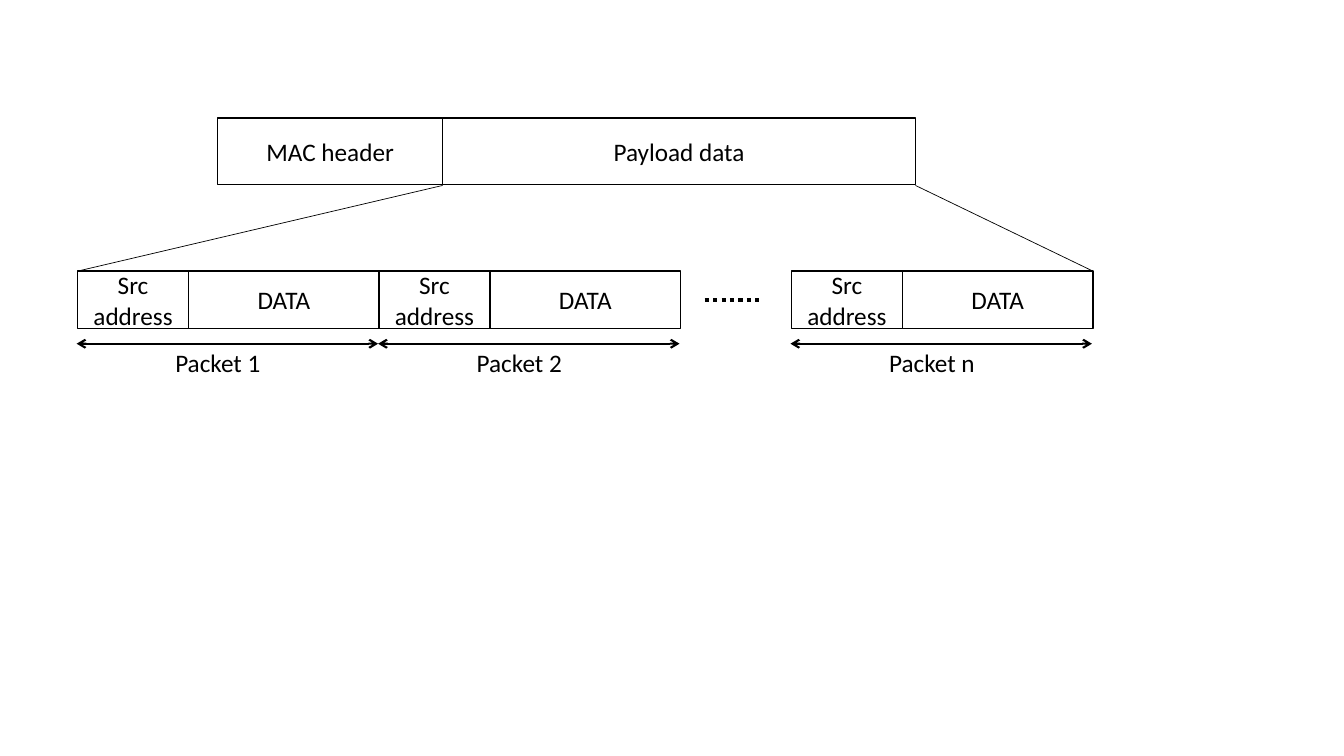
from lxml import etree
from pptx import Presentation
from pptx.dml.color import RGBColor
from pptx.enum import dml, shapes, text
from pptx.oxml import ns
from pptx.util import Inches, Pt

BLACK = RGBColor(0, 0, 0)
WHITE = RGBColor(255, 255, 255)

FRAME_TOP, FRAME_HEIGHT = 1.17, 0.66
HEADER_LEFT, PAYLOAD_LEFT, PAYLOAD_RIGHT = 2.16, 4.39, 9.08
PACKET_TOP, PACKET_HEIGHT = 2.69, 0.57
ADDRESS_WIDTH, DATA_WIDTH = 1.1, 1.89
PACKET_WIDTH = ADDRESS_WIDTH + DATA_WIDTH
ARROW_Y = 3.41
FIRST_LEFT, LAST_LEFT = 0.77, 7.85


class FrameDiagram:
    font_name = "Calibri"
    font_size = Pt(18)

    def __init__(self, slide):
        self.slide = slide

    def set_words(self, shape, words, alignment=None):
        paragraph = shape.text_frame.paragraphs[0]
        paragraph.text = words
        paragraph.alignment = alignment
        paragraph.font.name = self.font_name
        paragraph.font.size = self.font_size
        paragraph.font.color.rgb = BLACK

    def field(self, words, left, top, width, height):
        shape = self.slide.shapes.add_shape(
            shapes.MSO_SHAPE.RECTANGLE,
            Inches(left), Inches(top), Inches(width), Inches(height))
        shape.shadow.inherit = False
        shape.fill.solid()
        shape.fill.fore_color.rgb = WHITE
        shape.line.color.rgb = BLACK
        shape.line.width = Pt(1)
        shape.text_frame.vertical_anchor = text.MSO_ANCHOR.MIDDLE
        self.set_words(shape, words, text.PP_ALIGN.CENTER)

    def label(self, words, left, top, width, height):
        shape = self.slide.shapes.add_textbox(
            Inches(left), Inches(top), Inches(width), Inches(height))
        shape.text_frame.word_wrap = False
        shape.text_frame.auto_size = text.MSO_AUTO_SIZE.SHAPE_TO_FIT_TEXT
        self.set_words(shape, words)

    def line(self, start, end, width, dash=None, arrows=False):
        connector = self.slide.shapes.add_connector(
            shapes.MSO_CONNECTOR.STRAIGHT,
            *(Inches(value) for value in (*start, *end)))
        connector.line.color.rgb = BLACK
        connector.line.width = Pt(width)
        if dash:
            connector.line.dash_style = dash
        properties = connector._element.spPr
        if arrows:
            outline = properties.find(ns.qn("a:ln"))
            for tag in ("a:headEnd", "a:tailEnd"):
                etree.SubElement(outline, ns.qn(tag), type="arrow")
        etree.SubElement(properties, ns.qn("a:effectLst"))

    def packet(self, name, left):
        self.field("DATA", left + ADDRESS_WIDTH, PACKET_TOP, DATA_WIDTH, PACKET_HEIGHT)
        self.field("Src address", left, PACKET_TOP, ADDRESS_WIDTH, PACKET_HEIGHT)
        self.line((left - 0.01, ARROW_Y), (left + PACKET_WIDTH - 0.01, ARROW_Y),
                  1.5, arrows=True)
        self.label(name, left + 0.87, 3.4, 1.06, 0.4)


presentation = Presentation()
presentation.slide_width = Inches(13.33)
presentation.slide_height = Inches(7.5)
diagram = FrameDiagram(presentation.slides.add_slide(presentation.slide_layouts[6]))

diagram.field("MAC header", HEADER_LEFT, FRAME_TOP,
              PAYLOAD_LEFT - HEADER_LEFT, FRAME_HEIGHT)
diagram.field("Payload data", PAYLOAD_LEFT, FRAME_TOP,
              PAYLOAD_RIGHT - PAYLOAD_LEFT, FRAME_HEIGHT)

for name, left in (("Packet 1", FIRST_LEFT),
                   ("Packet 2", FIRST_LEFT + PACKET_WIDTH),
                   ("Packet n", LAST_LEFT)):
    diagram.packet(name, left)

diagram.line((6.99, 2.98), (7.57, 2.98), 3, dash=dml.MSO_LINE.ROUND_DOT)
frame_bottom = FRAME_TOP + FRAME_HEIGHT + 0.01
diagram.line((FIRST_LEFT, PACKET_TOP), (PAYLOAD_LEFT, frame_bottom), 0.5)
diagram.line((PAYLOAD_RIGHT, frame_bottom), (LAST_LEFT + PACKET_WIDTH, PACKET_TOP), 0.5)

presentation.save("out.pptx")
